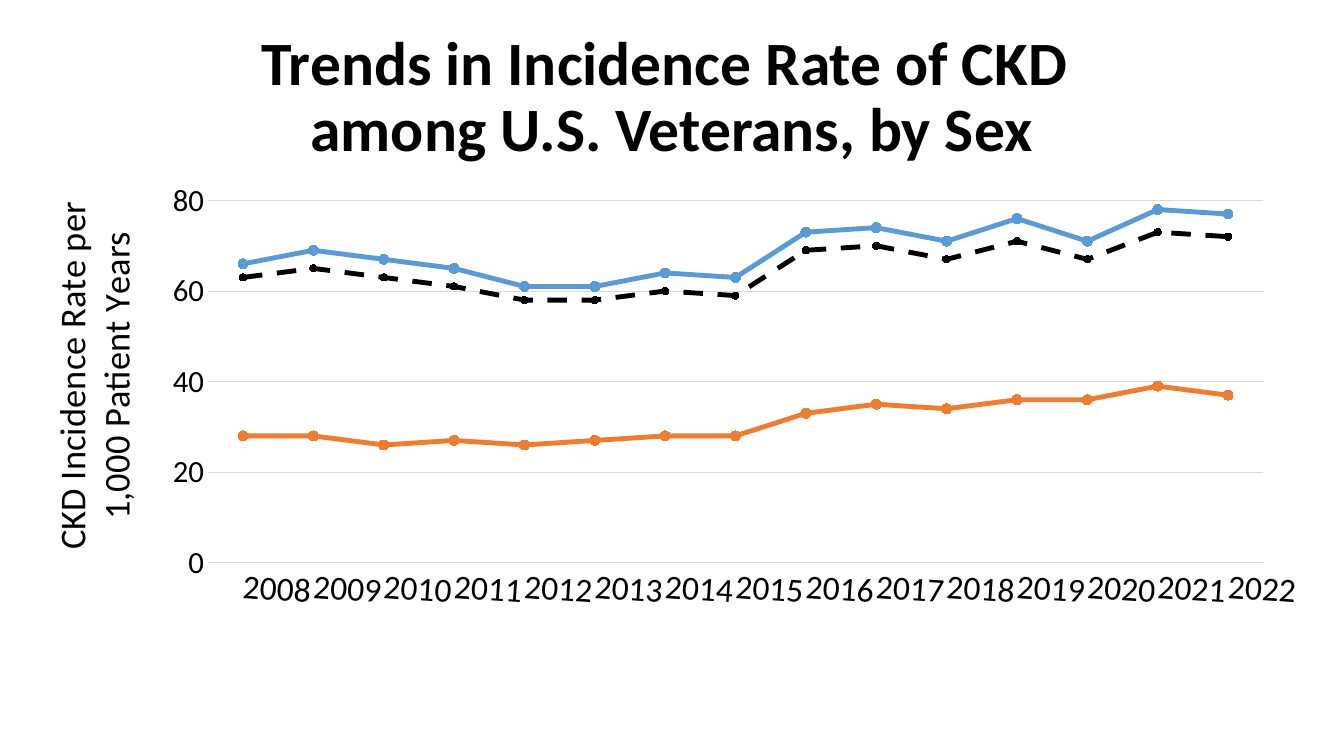
from lxml import etree
from pptx import Presentation
from pptx import util as u
from pptx.chart.data import CategoryChartData
from pptx.dml.color import RGBColor
from pptx.enum import chart as ch, dml, text
from pptx.oxml.ns import qn

COLORS = {"ink": "000000", "grid": "D9D9D9", "female": "ED7D31", "male": "5B9BD5"}
YEARS = [str(year) for year in range(2008, 2023)]
# name, colour, marker size, dash, rates per 1,000 patient years
RATES = [
    ("Overall", "ink", 5, dml.MSO_LINE.DASH,
     (63, 65, 63, 61, 58, 58, 60, 59, 69, 70, 67, 71, 67, 73, 72)),
    ("Female", "female", 7, None,
     (28, 28, 26, 27, 26, 27, 28, 28, 33, 35, 34, 36, 36, 39, 37)),
    ("Male", "male", 7, None,
     (66, 69, 67, 65, 61, 61, 64, 63, 73, 74, 71, 76, 71, 78, 77)),
]


def color(name):
    return RGBColor.from_string(COLORS[name])


def set_layout(parent, index, target=None, **fractions):
    """Place a chart part by hand, in fractions of the chart area."""
    for old in parent.findall(qn("c:layout")):
        parent.remove(old)
    layout = etree.Element(qn("c:layout"))
    manual = etree.SubElement(layout, qn("c:manualLayout"))
    settings = {"layoutTarget": target} if target else {}
    settings.update(xMode="edge", yMode="edge", **fractions)
    for tag, value in settings.items():
        etree.SubElement(manual, qn(f"c:{tag}")).set("val", str(value))
    parent.insert(index, layout)


class TrendSlide:
    font_name = "Calibri"

    def __init__(self, prs):
        self.slide = prs.slides.add_slide(prs.slide_layouts[5])

    def style_font(self, font, size, bold=False):
        font.name, font.size, font.bold = self.font_name, u.Pt(size), bold
        font.color.rgb = color("ink")

    def style_line(self, line, name, width):
        line.color.rgb = color(name)
        line.width = u.Pt(width)

    def title(self, wording, left, top, width, height):
        title = self.slide.shapes.title
        title.left, title.top = u.Cm(left), u.Cm(top)
        title.width, title.height = u.Cm(width), u.Cm(height)
        frame = title.text_frame
        frame.text = wording
        frame.word_wrap = True
        frame.auto_size = text.MSO_AUTO_SIZE.NONE
        frame.vertical_anchor = text.MSO_ANCHOR.MIDDLE
        heading = frame.paragraphs[0]
        heading.alignment = text.PP_ALIGN.CENTER
        heading.line_spacing = 0.9
        self.style_font(heading.font, 44, bold=True)

    def line_chart(self, left, top, width, height):
        data = CategoryChartData(number_format="0")
        data.categories = YEARS
        for name, _, _, _, values in RATES:
            data.add_series(name, values)
        chart = self.slide.shapes.add_chart(
            ch.XL_CHART_TYPE.LINE_MARKERS, u.Cm(left), u.Cm(top),
            u.Cm(width), u.Cm(height), data).chart
        chart.has_title = False
        chart.has_legend = False
        self.style_font(chart.font, 10)
        chart.plots[0].vary_by_categories = False
        for series, rate in zip(chart.plots[0].series, RATES):
            self.series(series, *rate[1:4])
        self.year_axis(chart.category_axis)
        self.rate_axis(chart.value_axis)

        plot_area = chart.element.xpath("c:chart/c:plotArea")[0]
        set_layout(plot_area, 0, "inner", x=0.1445, y=0.0575, w=0.808, h=0.716)
        set_layout(plot_area.xpath("c:valAx/c:title")[0], 1, x=0.016, y=0.047)
        year_labels = plot_area.xpath("c:catAx/c:txPr/a:bodyPr")[0]
        year_labels.set("rot", "240000")
        year_labels.set("vert", "horz")

    def series(self, series, color_name, marker_size, dash):
        series.smooth = False
        self.style_line(series.format.line, color_name, 3.5)
        if dash:
            series.format.line.dash_style = dash
        marker = series.marker
        marker.style = ch.XL_MARKER_STYLE.CIRCLE
        marker.size = marker_size
        marker.format.fill.solid()
        marker.format.fill.fore_color.rgb = color(color_name)
        self.style_line(marker.format.line, color_name, 0.75)

    def year_axis(self, axis):
        axis.major_tick_mark = ch.XL_TICK_MARK.NONE
        axis.has_major_gridlines = False
        self.style_line(axis.format.line, "grid", 0.75)
        self.style_font(axis.tick_labels.font, 24)

    def rate_axis(self, axis):
        axis.major_tick_mark = ch.XL_TICK_MARK.NONE
        axis.minimum_scale, axis.maximum_scale, axis.major_unit = 0, 80, 20
        axis.format.line.fill.background()
        self.style_line(axis.major_gridlines.format.line, "grid", 0.75)
        self.style_font(axis.tick_labels.font, 22)
        frame = axis.axis_title.text_frame
        frame.text = "CKD Incidence Rate per 1,000 Patient Years"
        self.style_font(frame.paragraphs[0].font, 26)
        body = frame.paragraphs[0]._p.getparent().find(qn("a:bodyPr"))
        body.set("rot", "-5400000")
        body.set("vert", "horz")


def main():
    prs = Presentation()
    prs.slide_width, prs.slide_height = u.Cm(33.87), u.Cm(19.05)
    trend = TrendSlide(prs)
    trend.title("Trends in Incidence Rate of CKD \vamong U.S. Veterans, by Sex",
                2.33, 0.64, 29.21, 3.68)
    trend.line_chart(0.48, 4.32, 32.92, 12.75)
    prs.save("out.pptx")


if __name__ == "__main__":
    main()
